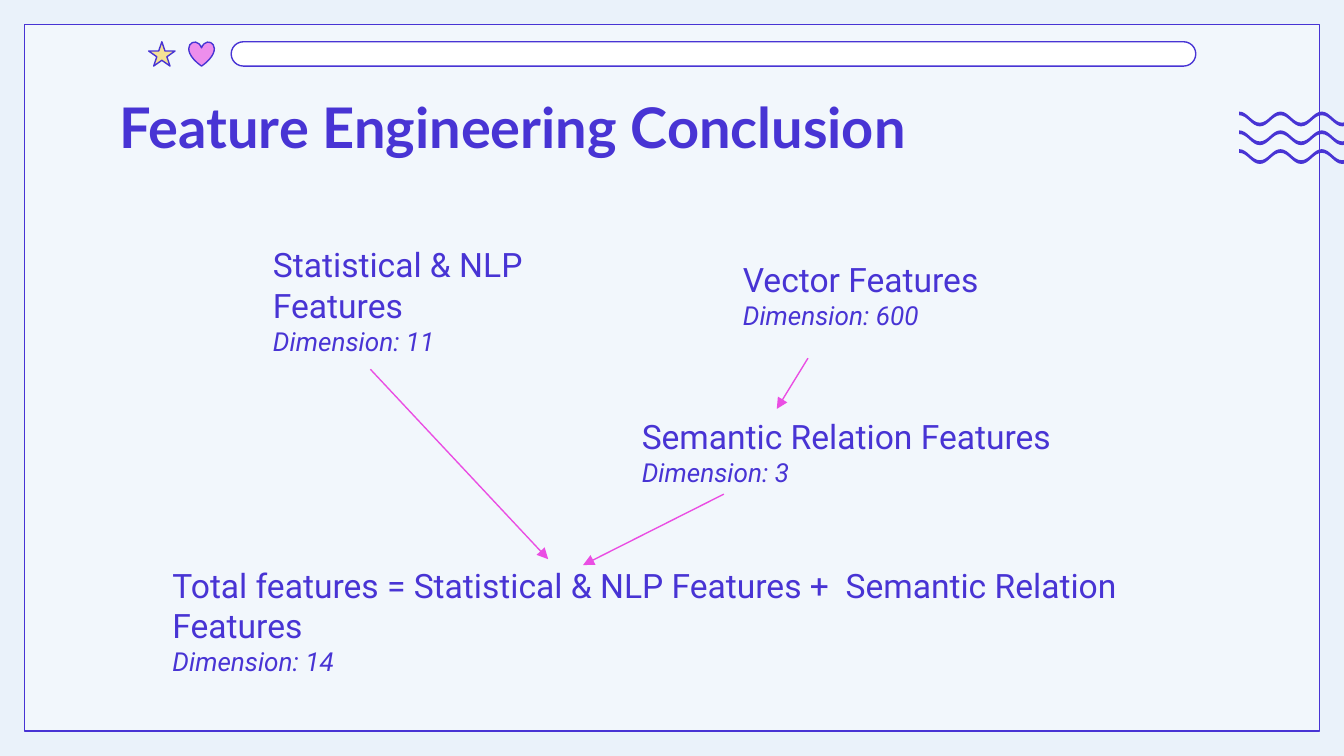
from dataclasses import dataclass

from lxml import etree
from pptx import Presentation
from pptx.dml.color import RGBColor as Rgb
from pptx.enum.shapes import MSO_CONNECTOR as Connector, MSO_SHAPE as Shape
from pptx.enum.text import MSO_ANCHOR as Anchor
from pptx.oxml.ns import qn
from pptx.util import Cm, Pt


@dataclass(frozen=True)
class Theme:
    backdrop: str = "EAF2FA"
    white: str = "FFFFFF"
    indigo: str = "4834D4"
    pink: str = "EA4EE3"
    yellow: str = "F9CA24"
    title_font: str = "Lato"
    body_font: str = "Roboto"
    title_size: int = 30
    body_size: int = 18
    note_size: int = 14
    line_width: float = 0.75


@dataclass(frozen=True)
class Box:
    """A region in centimetres."""
    left: float
    top: float
    width: float
    height: float

    def inner(self, left, top, width, height):
        return Box(self.left + left, self.top + top, width, height)

    def lengths(self):
        return [Cm(n) for n in (self.left, self.top, self.width, self.height)]


THEME = Theme()


def add_outlined(page, kind, box, fill, opacity=100):
    shape = page.shapes.add_shape(kind, *box.lengths())
    shape.shadow.inherit = False
    shape.fill.solid()
    shape.fill.fore_color.rgb = Rgb.from_string(fill)
    shape.line.color.rgb = Rgb.from_string(THEME.indigo)
    shape.line.width = Pt(THEME.line_width)
    if opacity < 100:
        color = shape.fill._xPr.find(qn("a:solidFill"))[0]
        etree.SubElement(color, qn("a:alpha"), val=str(opacity * 1000))
    return shape


def add_span(para, text, *, size, font=THEME.body_font, bold=False, italic=False):
    span = para.add_run()
    span.text = text
    span.font.name = font
    span.font.size = Pt(size)
    span.font.bold = bold
    span.font.italic = italic
    span.font.color.rgb = Rgb.from_string(THEME.indigo)


def add_text_frame(page, box):
    frame = page.shapes.add_textbox(*box.lengths()).text_frame
    frame.word_wrap = True
    frame.vertical_anchor = Anchor.TOP
    frame.margin_left = frame.margin_right = Cm(0.25)
    frame.margin_top = frame.margin_bottom = Cm(0.25)
    return frame


def add_arrow(page, box, start, end):
    points = [Cm(n) for x, y in (start, end) for n in (box.left + x, box.top + y)]
    arrow = page.shapes.add_connector(Connector.STRAIGHT, *points)
    arrow.line.color.rgb = Rgb.from_string(THEME.pink)
    arrow.line.width = Pt(THEME.line_width)
    etree.SubElement(arrow.line._get_or_add_ln(), qn("a:tailEnd"), type="triangle")
    etree.SubElement(arrow._element.spPr, qn("a:effectLst"))


def add_window(page, box):
    """Window frame with its star, heart and address bar."""
    add_outlined(page, Shape.RECTANGLE, box, THEME.white, 41)
    add_outlined(page, Shape.STAR_5_POINT, box.inner(2.35, 0.33, 0.5, 0.46), THEME.yellow, 48)
    add_outlined(page, Shape.HEART, box.inner(3.11, 0.33, 0.48, 0.46), THEME.pink, 62)
    bar = add_outlined(page, Shape.ROUNDED_RECTANGLE, box.inner(3.91, 0.33, 18.23, 0.46), THEME.white)
    bar.adjustments[0] = 0.5


def round_segments(shape, pull=0.4):
    """Turn slanted segments into S-curves that are level at both ends."""
    before = None
    for step in shape._element.iter(qn("a:moveTo"), qn("a:lnTo")):
        x, y = (int(step[0].get(axis)) for axis in "xy")
        if before and before[0] != x:
            reach = round((x - before[0]) * pull)
            step.tag = qn("a:cubicBezTo")
            for place, control in enumerate([(before[0] + reach, before[1]), (x - reach, y)]):
                point = etree.Element(qn("a:pt"), x=str(control[0]), y=str(control[1]))
                step.insert(place, point)
        before = x, y


def add_waves(page, box, count=3, swings=9, thickness=0.07):
    """Stacked wavy bands that alternate between crest and trough."""
    band = 0.28
    pitch = (box.height - band) / (count - 1)
    for row in range(count):
        top = box.top + row * pitch
        upper = [
            (box.left + box.width * n / swings, top + n % 2 * (band - thickness))
            for n in range(swings + 1)
        ]
        outline = upper + [(x, y + thickness) for x, y in reversed(upper)]
        points = [(Cm(x), Cm(y)) for x, y in outline]
        builder = page.shapes.build_freeform(*points[0])
        builder.add_line_segments(points[1:], close=True)
        wave = builder.convert_to_shape()
        round_segments(wave)
        wave.shadow.inherit = False
        wave.fill.solid()
        wave.fill.fore_color.rgb = Rgb.from_string(THEME.indigo)
        wave.line.fill.background()


def add_title(page, box, text):
    para = add_text_frame(page, box).paragraphs[0]
    add_span(para, text, size=THEME.title_size, font=THEME.title_font, bold=True)


def add_feature(page, box, name, dimension):
    """A feature group with its dimension below."""
    frame = add_text_frame(page, box)
    add_span(frame.paragraphs[0], name, size=THEME.body_size)
    add_span(frame.add_paragraph(), f"Dimension: {dimension}",
             size=THEME.note_size, italic=True)


def add_diagram(page, box):
    """Feature groups and the arrows that merge them into the total."""
    features = [
        (1.9, 0, 5.82, "Statistical & NLP Features", 11),
        (10.78, 0.27, 7.72, "Vector Features", 600),
        (8.87, 3.25, 9.07, "Semantic Relation Features", 3),
        (0, 6.05, 18.72,
         "Total features = Statistical & NLP Features +  Semantic Relation Features", 14),
    ]
    for left, top, width, name, dimension in features:
        add_feature(page, box.inner(left, top, width, 1.63), name, dimension)

    arrows = [
        ((3.99, 2.61), (7.35, 6.2)),
        ((12.26, 2.4), (11.67, 3.36)),
        ((10.67, 4.97), (8.01, 6.31)),
    ]
    for start, end in arrows:
        add_arrow(page, box, start, end)


def main():
    deck = Presentation()
    deck.slide_width, deck.slide_height = Cm(25.4), Cm(14.29)
    page = deck.slides.add_slide(deck.slide_layouts[6])
    page.background.fill.solid()
    page.background.fill.fore_color.rgb = Rgb.from_string(THEME.backdrop)

    add_window(page, Box(0.46, 0.46, 24.48, 13.36))
    add_waves(page, Box(23.42, 2.11, 3.51, 0.99))
    add_title(page, Box(2.01, 1.5, 21.41, 1.6), "Feature Engineering Conclusion")
    add_diagram(page, Box(3.01, 4.37, 18.72, 7.68))
    deck.save("out.pptx")


if __name__ == "__main__":
    main()
